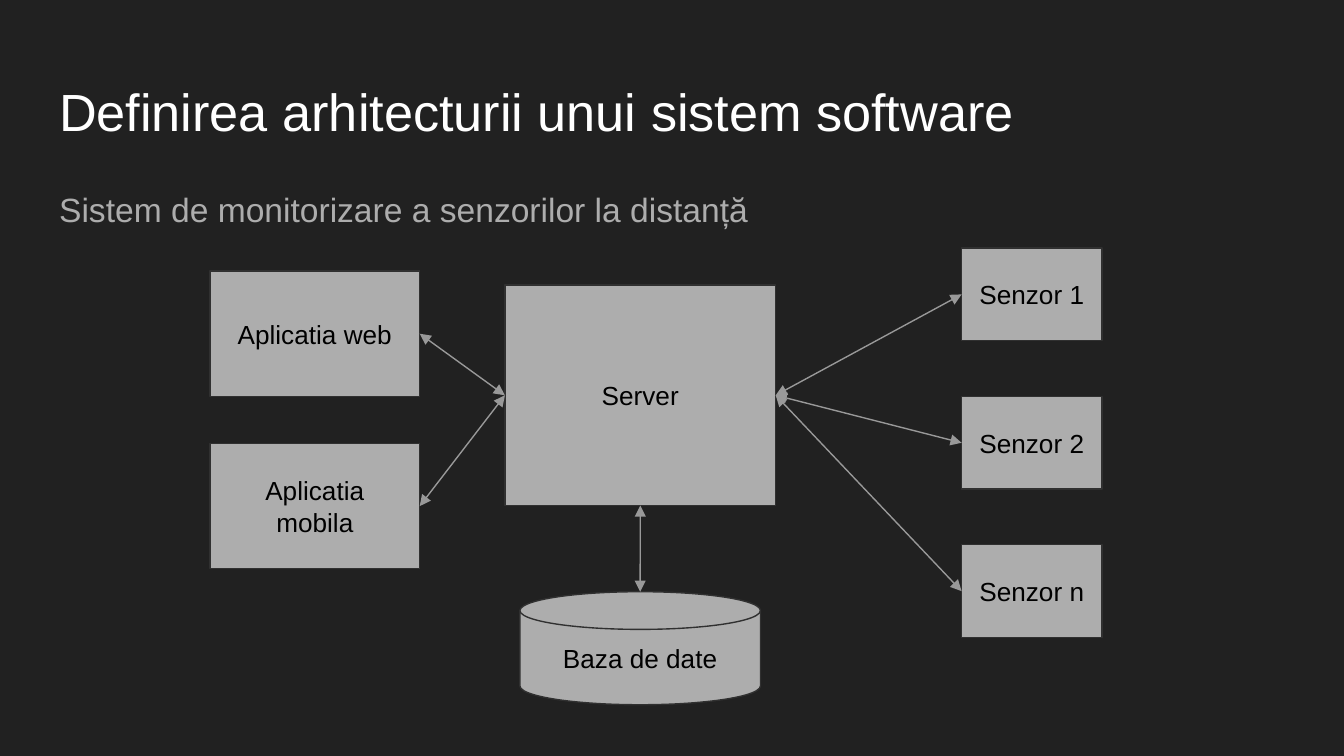
from collections import namedtuple

from lxml.etree import SubElement
from pptx import Presentation
from pptx.dml.color import RGBColor
from pptx.enum.shapes import MSO_CONNECTOR, MSO_SHAPE
from pptx.enum.text import MSO_ANCHOR, MSO_AUTO_SIZE, PP_ALIGN
from pptx.oxml.ns import qn
from pptx.util import Inches, Pt

BACKGROUND = RGBColor(0x21, 0x21, 0x21)
WHITE = RGBColor(0xFF, 0xFF, 0xFF)
BLACK = RGBColor(0x00, 0x00, 0x00)
GRAY = RGBColor(0xAD, 0xAD, 0xAD)
OUTLINE = RGBColor(0x30, 0x30, 0x30)
ARROW = RGBColor(0x99, 0x99, 0x99)

WIDTH = Inches(10)
HEIGHT = WIDTH * 9 // 16
TOP, LEFT, BOTTOM, RIGHT = range(4)

Box = namedtuple("Box", "left top width height")

TITLE_BOX = Box(3.4, 8.65, 93.2, 11.2)
SUBTITLE_BOX = Box(3.4, 22.4, 93.2, 10.3)
CLIENTS_BOX = Box(15.63, 35.85, 15.6, 39.4)
SERVER_BOX = Box(37.57, 37.72, 20.15, 29.15)
DATABASE_BOX = Box(38.68, 78.28, 17.9, 14.95)
SENSORS_BOX = Box(71.55, 32.82, 10.45, 51.5)


def set_values(target, values):
    for name, value in values.items():
        setattr(target, name, value)


def to_lengths(box):
    return Box(
        int(WIDTH * box.left / 100),
        int(HEIGHT * box.top / 100),
        int(WIDTH * box.width / 100),
        int(HEIGHT * box.height / 100),
    )


def write_text(shape, text, size, color, anchor, paragraph_format):
    frame = shape.text_frame
    margins = {f"margin_{side}": Inches(0.1) for side in ("left", "top", "right", "bottom")}
    set_values(frame, {
        **margins,
        "word_wrap": True,
        "auto_size": MSO_AUTO_SIZE.NONE,
        "vertical_anchor": anchor,
    })
    para = frame.paragraphs[0]
    set_values(para, paragraph_format)
    span = para.add_run()
    span.text = text
    set_values(span.font, {"name": "Arial", "size": Pt(size)})
    span.font.color.rgb = color
    return para


def add_heading(page, title_box, subtitle_box):
    title, subtitle = page.shapes.title, page.placeholders[1]
    set_values(title, to_lengths(title_box)._asdict())
    set_values(subtitle, to_lengths(subtitle_box)._asdict())
    write_text(title, "Definirea arhitecturii unui sistem software", 28, WHITE,
               MSO_ANCHOR.TOP, {"alignment": PP_ALIGN.LEFT})
    para = write_text(
        subtitle, "Sistem de monitorizare a senzorilor la distanță", 18, GRAY, MSO_ANCHOR.TOP,
        {"alignment": PP_ALIGN.LEFT, "line_spacing": 1.15,
         "space_before": Pt(0), "space_after": Pt(16)},
    )
    properties = para._p.get_or_add_pPr()
    for name in ("marL", "indent"):
        properties.set(name, "0")
    SubElement(properties, qn("a:buNone"))


def add_node(page, box, label, kind=MSO_SHAPE.RECTANGLE):
    node = page.shapes.add_shape(kind, *to_lengths(box))
    node.shadow.inherit = False
    node.fill.solid()
    node.fill.fore_color.rgb = GRAY
    node.line.color.rgb = OUTLINE
    node.line.width = Pt(0.75)
    write_text(node, label, 14, BLACK, MSO_ANCHOR.MIDDLE, {"alignment": PP_ALIGN.CENTER})
    return node


def add_stack(page, box, labels, node_height):
    step = (box.height - node_height) / (len(labels) - 1)
    return [
        add_node(page, box._replace(top=box.top + row * step, height=node_height), label)
        for row, label in enumerate(labels)
    ]


def side_point(node, side):
    across = {LEFT: 0, RIGHT: node.width}.get(side, node.width // 2)
    down = {TOP: 0, BOTTOM: node.height}.get(side, node.height // 2)
    return node.left + across, node.top + down


def add_arrow(page, start, start_side, end, end_side):
    arrow = page.shapes.add_connector(
        MSO_CONNECTOR.STRAIGHT, *side_point(start, start_side), *side_point(end, end_side)
    )
    arrow.line.color.rgb = ARROW
    arrow.line.width = Pt(0.75)
    line = arrow.line._get_or_add_ln()
    for tip in ("a:headEnd", "a:tailEnd"):
        SubElement(line, qn(tip), type="triangle")
    SubElement(arrow._element.spPr, qn("a:effectLst"))


def add_architecture(page):
    sensors = add_stack(page, SENSORS_BOX, ["Senzor 1", "Senzor 2", "Senzor n"], 12.25)
    server = add_node(page, SERVER_BOX, "Server")
    database = add_node(page, DATABASE_BOX, "Baza de date", MSO_SHAPE.FLOWCHART_MAGNETIC_DISK)
    clients = add_stack(page, CLIENTS_BOX, ["Aplicatia web", "Aplicatia mobila"], 16.6)
    add_arrow(page, server, BOTTOM, database, TOP)
    for sensor in sensors:
        add_arrow(page, server, RIGHT, sensor, LEFT)
    for client in clients:
        add_arrow(page, client, RIGHT, server, LEFT)


def main():
    deck = Presentation()
    set_values(deck, {"slide_width": WIDTH, "slide_height": HEIGHT})
    page = deck.slides.add_slide(deck.slide_layouts[1])
    page.background.fill.solid()
    page.background.fill.fore_color.rgb = BACKGROUND
    add_heading(page, TITLE_BOX, SUBTITLE_BOX)
    add_architecture(page)
    deck.save("out.pptx")


if __name__ == "__main__":
    main()
